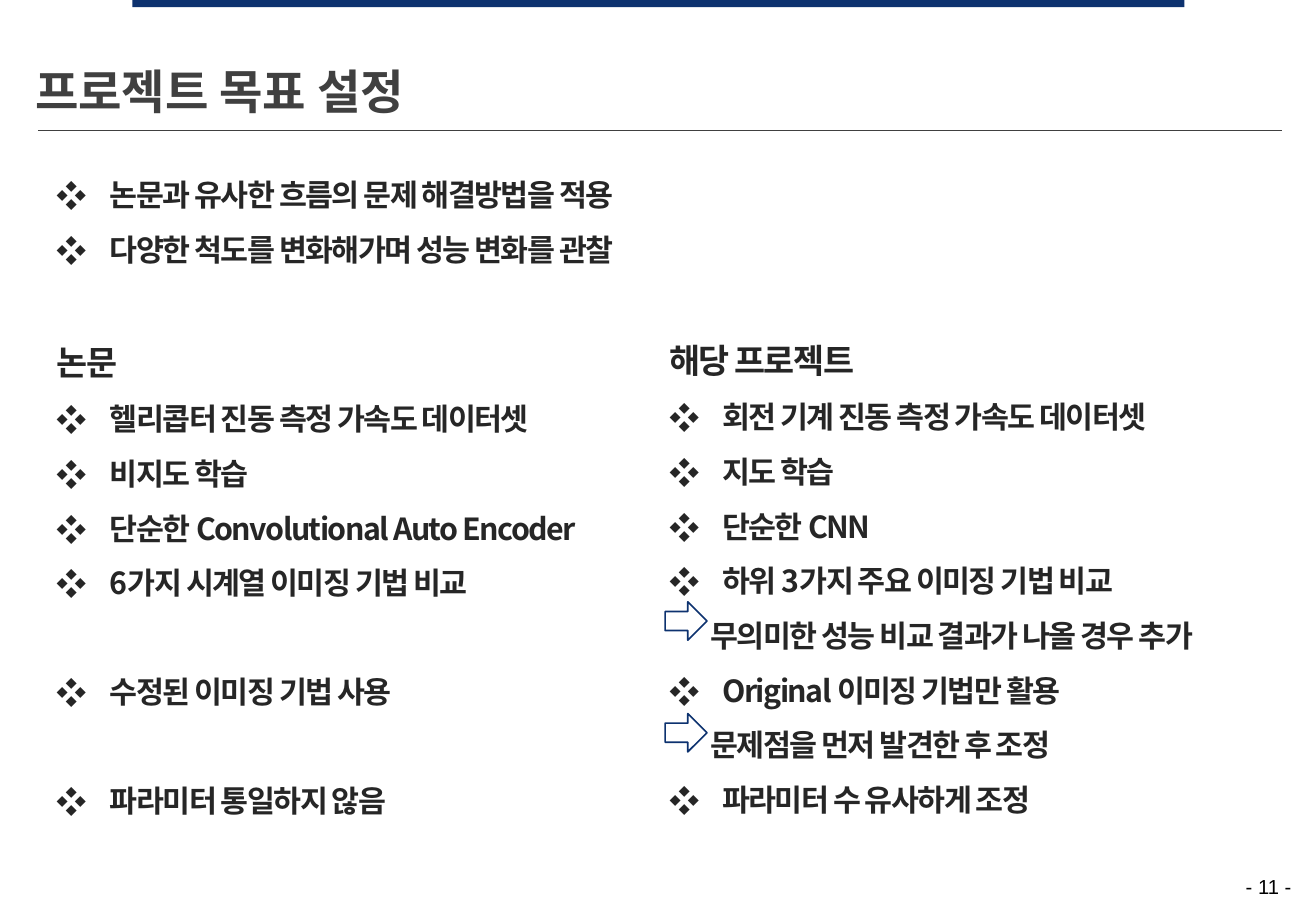
from lxml import etree
from pptx import Presentation
from pptx.dml.color import RGBColor
from pptx.enum import shapes, text
from pptx.oxml import ns
from pptx.util import Pt

NAVY = RGBColor(0x0D, 0x32, 0x6F)
GRAY = RGBColor(0x40, 0x40, 0x40)
INK = RGBColor(0x26, 0x26, 0x26)
BLACK = RGBColor(0, 0, 0)
WHITE = RGBColor(0xFF, 0xFF, 0xFF)
HEADING_FONT = "Arial"
BODY_FONT = "Noto Sans CJK KR"
HANGING = 31.5
NOTE_INDENT = 24.6
ROW = 32.2

PAPER_COLUMN = [
    ("bullet", "논문과 유사한 흐름의 문제 해결방법을 적용", 0),
    ("bullet", "다양한 척도를 변화해가며 성능 변화를 관찰", 0),
    ("heading", "논문", ROW),
    ("bullet", "헬리콥터 진동 측정 가속도 데이터셋", 0),
    ("bullet", "비지도 학습", 0),
    ("bullet", "단순한 Convolutional Auto Encoder", 0),
    ("bullet", "6가지 시계열 이미징 기법 비교", 0),
    ("bullet", "수정된 이미징 기법 사용", ROW),
    ("bullet", "파라미터 통일하지 않음", ROW),
]
PROJECT_COLUMN = [
    ("heading", "해당 프로젝트", 0),
    ("bullet", "회전 기계 진동 측정 가속도 데이터셋", 0),
    ("bullet", "지도 학습", 0),
    ("bullet", "단순한 CNN", 0),
    ("bullet", "하위 3가지 주요 이미징 기법 비교", 0),
    ("note", "무의미한 성능 비교 결과가 나올 경우 추가", 0),
    ("bullet", "Original 이미징 기법만 활용", 0),
    ("note", "문제점을 먼저 발견한 후 조정", 0),
    ("bullet", "파라미터 수 유사하게 조정", 0),
]


def add_run(paragraph, content, size, color, font_name, bold=True):
    run = paragraph.add_run()
    run.text = content
    run.font.size = Pt(size)
    run.font.bold = bold
    run.font.color.rgb = color
    run.font.name = font_name
    return run


def add_child(parent, tag, **attributes):
    return etree.SubElement(parent, ns.qn(tag), **attributes)


def format_paragraph(paragraph, kind, gap):
    paragraph.line_spacing = 1.5
    paragraph.space_before = Pt(gap)
    properties = paragraph._p.get_or_add_pPr()
    if kind == "bullet":
        properties.set("marL", str(Pt(HANGING)))
        properties.set("indent", str(-Pt(HANGING)))
        add_child(properties, "a:buFont", typeface=BODY_FONT)
        add_child(properties, "a:buChar", char="❖")
    elif kind == "note":
        properties.set("marL", str(Pt(NOTE_INDENT)))
        properties.set("indent", "0")


def add_column(slide, left, top, width, height, rows):
    frame = slide.shapes.add_textbox(Pt(left), Pt(top), Pt(width), Pt(height)).text_frame
    frame.word_wrap = True
    for index, (kind, content, gap) in enumerate(rows):
        paragraph = frame.add_paragraph() if index else frame.paragraphs[0]
        format_paragraph(paragraph, kind, gap)
        run = add_run(paragraph, content, 20 if kind == "heading" else 18, INK, BODY_FONT)
        properties = run._r.get_or_add_rPr()
        properties.set("spc", "-90")
        add_child(properties, "a:ea", typeface=BODY_FONT)


def add_title(slide, content):
    title = slide.shapes.title
    title.left, title.top, title.width, title.height = Pt(13.7), Pt(33.1), Pt(739.4), Pt(41)
    frame = title.text_frame
    frame.auto_size = text.MSO_AUTO_SIZE.NONE
    frame.vertical_anchor = text.MSO_ANCHOR.MIDDLE
    frame.paragraphs[0].alignment = text.PP_ALIGN.LEFT
    add_run(frame.paragraphs[0], content, 28, GRAY, HEADING_FONT)


def add_page_number(slide, content):
    frame = slide.shapes.add_textbox(Pt(596.9), Pt(511.2), Pt(175.7), Pt(28.8)).text_frame
    frame.word_wrap = True
    frame.vertical_anchor = text.MSO_ANCHOR.MIDDLE
    frame.paragraphs[0].alignment = text.PP_ALIGN.RIGHT
    add_run(frame.paragraphs[0], content, 12, BLACK, HEADING_FONT, bold=False)


def add_top_bar(slide):
    bar = slide.shapes.add_shape(
        shapes.MSO_SHAPE.RECTANGLE, Pt(78.5), Pt(0), Pt(623.5), Pt(4.3))
    bar.shadow.inherit = False
    bar.fill.solid()
    bar.fill.fore_color.rgb = NAVY
    bar.line.fill.background()


def add_rule(slide):
    rule = slide.shapes.add_connector(
        shapes.MSO_CONNECTOR.STRAIGHT, Pt(22.5), Pt(77.2), Pt(759.6), Pt(77.2))
    rule.line.color.rgb = GRAY
    rule.line.width = Pt(0.75)
    add_child(rule._element.spPr, "a:effectLst")


def add_note_arrow(slide, top):
    arrow = slide.shapes.add_shape(
        shapes.MSO_SHAPE.DOWN_ARROW, Pt(395.3), Pt(top), Pt(22.7), Pt(24.8))
    arrow.rotation = 270
    arrow.shadow.inherit = False
    arrow.fill.solid()
    arrow.fill.fore_color.rgb = WHITE
    arrow.line.color.rgb = NAVY
    arrow.line.width = Pt(1)


def main():
    presentation = Presentation()
    presentation.slide_width, presentation.slide_height = Pt(780), Pt(540)
    slide = presentation.slides.add_slide(presentation.slide_layouts[5])
    add_top_bar(slide)
    add_rule(slide)
    add_page_number(slide, "- 11 -")
    add_title(slide, "프로젝트 목표 설정")
    add_column(slide, 26.6, 90, 707, 396, PAPER_COLUMN)
    add_column(slide, 389.5, 185.8, 390, 301, PROJECT_COLUMN)
    for top in (355.7, 421.9):
        add_note_arrow(slide, top)
    presentation.save("out.pptx")


if __name__ == "__main__":
    main()
